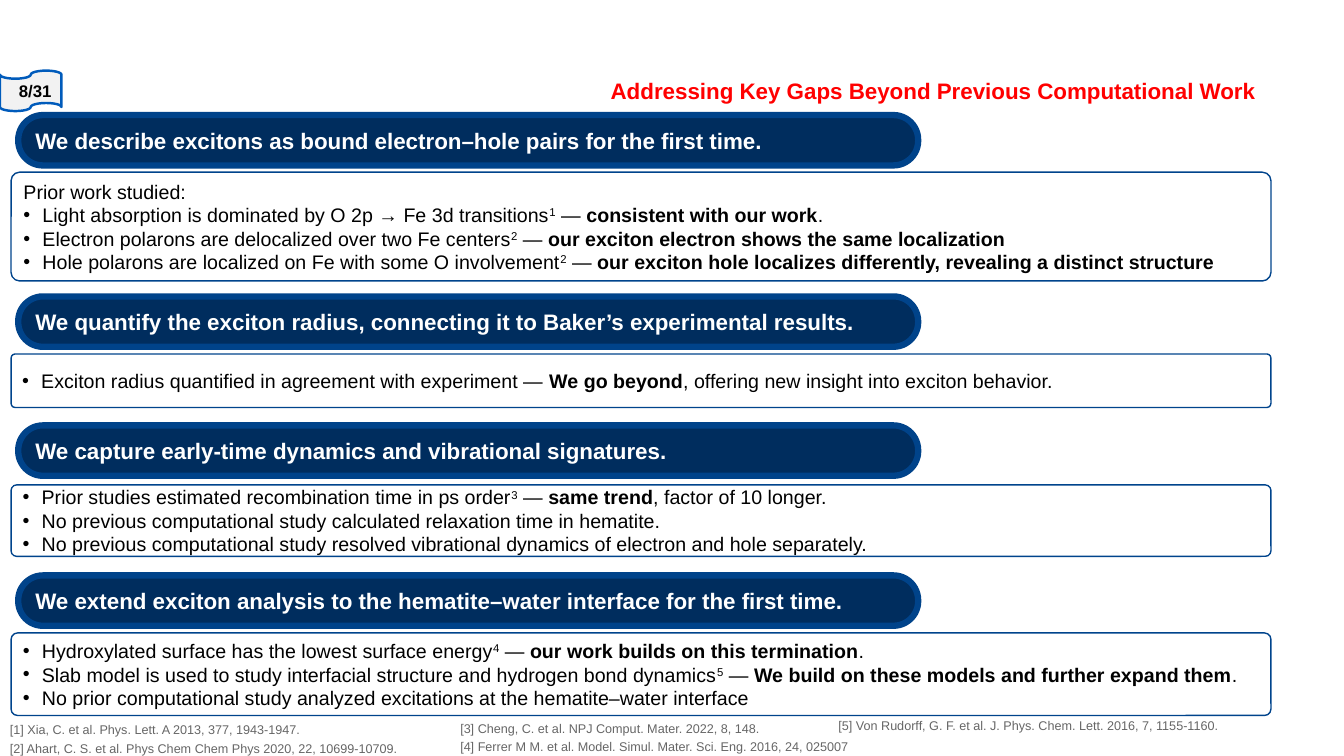
from lxml.etree import SubElement
from pptx import Presentation
from pptx.dml.color import RGBColor
from pptx.enum.shapes import MSO_SHAPE as Preset
from pptx.enum.text import MSO_ANCHOR as Anchor, PP_ALIGN as Align
from pptx.oxml.ns import qn
from pptx.util import Cm, Pt

NAVY = RGBColor(0x00, 0x2D, 0x5E)
BANNER_EDGE = RGBColor(0x00, 0x43, 0x8A)
PANEL_EDGE = RGBColor(0x00, 0x44, 0x8C)
TAPE_EDGE = RGBColor(0x00, 0x5B, 0xBB)
TAPE_FILL = RGBColor(0xF2, 0xF2, 0xF2)
WHITE = RGBColor(0xFF, 0xFF, 0xFF)
BLACK = RGBColor(0x00, 0x00, 0x00)
RED = RGBColor(0xFF, 0x00, 0x00)
GRAY = RGBColor(0x66, 0x66, 0x66)

SECTIONS = [
    (2.9, "We describe excitons as bound electron–hole pairs for the first time.", 4.34, 2.74, [
        "Prior work studied:",
        "• Light absorption is dominated by O 2p → Fe 3d transitions^1^ — *consistent with our work*.",
        "• Electron polarons are delocalized over two Fe centers^2^ — "
        "*our exciton electron shows the same localization*",
        "• Hole polarons are localized on Fe with some O involvement^2^ — "
        "*our exciton hole localizes differently, revealing a distinct structure*",
    ]),
    (7.47, "We quantify the exciton radius, connecting it to Baker’s experimental results.", 8.92, 1.35, [
        "• Exciton radius quantified in agreement with experiment — "
        "*We go beyond*, offering new insight into exciton behavior.",
    ]),
    (10.72, "We capture early-time dynamics and vibrational signatures.", 12.22, 1.8, [
        "• Prior studies estimated recombination time in ps order^3^ — *same trend*, factor of 10 longer.",
        "• No previous computational study calculated relaxation time in hematite.",
        "• No previous computational study resolved vibrational dynamics of electron and hole separately.",
    ]),
    (14.5, "We extend exciton analysis to the hematite–water interface for the first time.", 15.95, 2.08, [
        "• Hydroxylated surface has the lowest surface energy^4^ — *our work builds on this termination*.",
        "• Slab model is used to study interfacial structure and hydrogen bond dynamics^5^ — "
        "*We build on these models and further expand them*.",
        "• No prior computational study analyzed excitations at the hematite–water interface",
    ]),
]

REFERENCES = [
    (0, 18.06, "[1] Xia, C. et al. Phys. Lett. A 2013, 377, 1943-1947."),
    (0, 18.54, "[2] Ahart, C. S. et al. Phys Chem Chem Phys 2020, 22, 10699-10709."),
    (11.35, 18.03, "[3] Cheng, C. et al. NPJ Comput. Mater. 2022, 8, 148."),
    (11.35, 18.49, "[4] Ferrer M M. et al. Model. Simul. Mater. Sci. Eng. 2016, 24, 025007"),
    (20.88, 17.96, "[5] Von Rudorff, G. F. et al. J. Phys. Chem. Lett. 2016, 7, 1155-1160."),
]


class SlideBuilder:
    """Draws styled elements on one slide; *bold* and ^superscript^ mark up panel text."""

    font_name = "Arial"

    def __init__(self, slide):
        self.shapes = slide.shapes

    def style(self, paragraph, size, color, bold=None, align=Align.LEFT):
        paragraph.alignment = align
        font = paragraph.font
        font.name, font.size, font.bold = self.font_name, Pt(size), bold
        font.color.rgb = color

    def outline(self, preset, left, top, width, height, edge, weight, fill=None, rounding=None):
        shape = self.shapes.add_shape(preset, Cm(left), Cm(top), Cm(width), Cm(height))
        shape.shadow.inherit = False
        if rounding is not None:
            shape.adjustments[0] = rounding
        if fill is None:
            shape.fill.background()
        else:
            shape.fill.solid()
            shape.fill.fore_color.rgb = fill
        shape.line.color.rgb = edge
        shape.line.width = Pt(weight)
        frame = shape.text_frame
        frame.word_wrap = True
        frame.vertical_anchor = Anchor.MIDDLE
        return frame

    def label(self, left, top, width, height, text, size, color, bold=None, anchor=Anchor.TOP):
        frame = self.shapes.add_textbox(Cm(left), Cm(top), Cm(width), Cm(height)).text_frame
        frame.word_wrap = True
        frame.vertical_anchor = anchor
        frame.text = text
        self.style(frame.paragraphs[0], size, color, bold)

    def banner(self, top, text):
        frame = self.outline(Preset.ROUNDED_RECTANGLE, 0.46, top, 22.68, 1.27,
                             BANNER_EDGE, 4.5, NAVY, 0.489)
        frame.text = text
        self.style(frame.paragraphs[0], 16, WHITE, True)

    def page_tape(self, text):
        frame = self.outline(Preset.FLOWCHART_PUNCHED_TAPE, 0, 1.78, 1.55, 1.02,
                             TAPE_EDGE, 1.75, TAPE_FILL)
        frame.text = text
        self.style(frame.paragraphs[0], 12, BLACK, True, Align.RIGHT)

    def panel(self, top, height, lines):
        frame = self.outline(Preset.ROUNDED_RECTANGLE, 0.28, top, 31.75, height,
                             PANEL_EDGE, 1, rounding=0.078)
        for index, line in enumerate(lines):
            paragraph = frame.add_paragraph() if index else frame.paragraphs[0]
            if line.startswith("• "):
                self.bullet(paragraph)
            self.style(paragraph, 14, BLACK)
            self.marked_runs(paragraph, line.removeprefix("• "))

    def bullet(self, paragraph):
        properties = paragraph._p.get_or_add_pPr()
        properties.set("marL", str(Cm(0.48)))
        properties.set("indent", str(-Cm(0.48)))
        SubElement(properties, qn("a:buFont"), typeface=self.font_name)
        SubElement(properties, qn("a:buChar"), char="•")

    def marked_runs(self, paragraph, text):
        for bold_index, part in enumerate(text.split("*")):
            for raised_index, piece in enumerate(part.split("^")):
                if not piece:
                    continue
                run = paragraph.add_run()
                run.text = piece
                if bold_index % 2:
                    run.font.bold = True
                if raised_index % 2:
                    run._r.get_or_add_rPr().set("baseline", "30000")


def main():
    deck = Presentation()
    deck.slide_width, deck.slide_height = Cm(33.87), Cm(19.05)
    builder = SlideBuilder(deck.slides.add_slide(deck.slide_layouts[6]))
    builder.label(15.14, 1.7, 18, 1.14, "Addressing Key Gaps Beyond Previous Computational Work",
                  16, RED, True, Anchor.MIDDLE)
    for banner_top, claim, panel_top, panel_height, lines in SECTIONS:
        builder.banner(banner_top, claim)
        builder.panel(panel_top, panel_height, lines)
    builder.page_tape("8/31")
    for left, top, citation in REFERENCES:
        builder.label(left, top, 12, 0.5, citation, 9, GRAY)
    deck.save("out.pptx")


if __name__ == "__main__":
    main()
